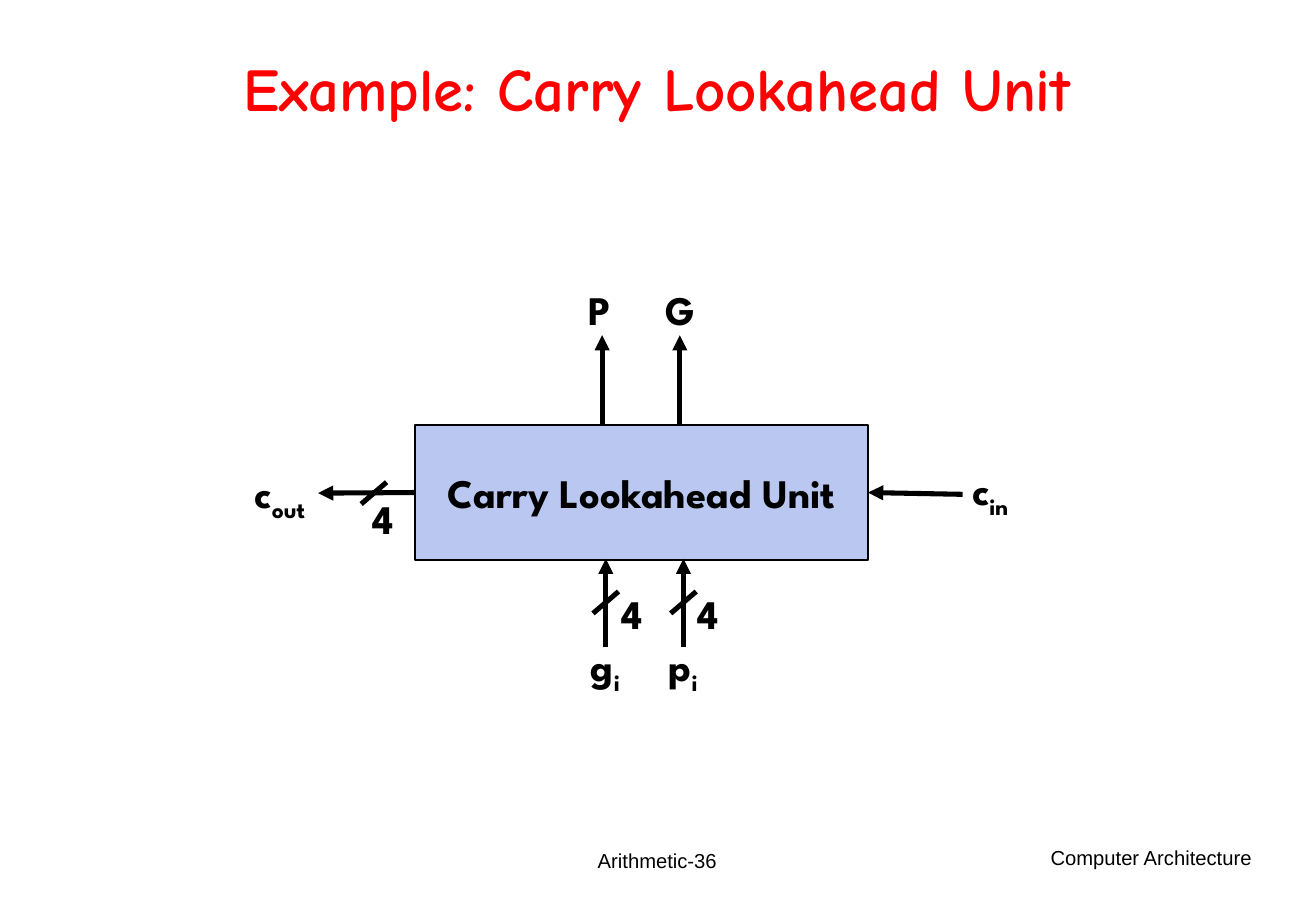
"""Build the carry lookahead unit slide."""
import pptx
import pptx.dml.color
import pptx.enum.shapes
import pptx.enum.text
import pptx.oxml.ns
import pptx.util
from lxml import etree

Inches = pptx.util.Inches
Pt = pptx.util.Pt
Align = pptx.enum.text.PP_ALIGN
Anchor = pptx.enum.text.MSO_ANCHOR
BLACK = pptx.dml.color.RGBColor(0, 0, 0)
RED = pptx.dml.color.RGBColor(255, 0, 0)
PALE_BLUE = pptx.dml.color.RGBColor(0xBA, 0xC8, 0xF1)

TITLE = ("Example: Carry Lookahead Unit", (0.81, 0.27, 9.21, 0.99))
PAGE_LABEL = ("Arithmetic-36", (3.7, 6.83, 3.43, 0.5))
COURSE = ("Computer Architecture", (8.12, 6.91, 2.29, 0.5))
UNIT = ("Carry Lookahead Unit", (3.42, 3.5, 3.73, 1.11))

SIGNALS = [
    ("P", "", (4.75, 2.3, 0.41, 0.5)),
    ("G", "", (5.38, 2.3, 0.44, 0.5)),
    ("g", "i", (4.77, 5.23, 0.47, 0.56)),
    ("p", "i", (5.41, 5.23, 0.47, 0.56)),
    ("c", "in", (7.91, 3.78, 0.55, 0.56)),
    ("c", "out", (2.0, 3.8, 0.7, 0.56)),
    ("4", "", (5.02, 4.8, 0.39, 0.5)),
    ("4", "", (5.65, 4.8, 0.39, 0.5)),
    ("4", "", (2.97, 4.02, 0.39, 0.5)),
]
OUTPUT_COLUMNS = [4.96, 5.6]
INPUT_COLUMNS = [4.99, 5.63]
OUTPUT_SPAN = (3.49, 2.76)
INPUT_SPAN = (5.33, 4.6)
CARRY_IN_START = (7.93, 4.07)
CARRY_OUT_END = (2.62, 4.06)
BUS_MARKS = [(column, 4.96) for column in INPUT_COLUMNS] + [(3.08, 4.06)]
MARK_WIDTH, MARK_HEIGHT = 0.21, 0.18


def add_span(para, text, size, font, color=BLACK, bold=False, subscript=False):
    span = para.add_run()
    span.text = text
    span.font.size = Pt(size)
    span.font.name = font
    span.font.bold = bold
    span.font.color.rgb = color
    if subscript:
        span._r.get_or_add_rPr().set("baseline", "-25000")


def add_box(page, area, align=Align.LEFT, anchor=Anchor.TOP, wrap=True):
    box = page.shapes.add_textbox(*map(Inches, area))
    frame = box.text_frame
    frame.word_wrap = wrap
    frame.vertical_anchor = anchor
    if not wrap:
        frame.auto_size = pptx.enum.text.MSO_AUTO_SIZE.SHAPE_TO_FIT_TEXT
    para = frame.paragraphs[0]
    para.alignment = align
    return para


def add_line(page, start, end, arrow=False):
    line = page.shapes.add_connector(
        pptx.enum.shapes.MSO_CONNECTOR.STRAIGHT, *map(Inches, start + end))
    line.line.color.rgb = BLACK
    line.line.width = Pt(3)
    if arrow:
        etree.SubElement(line.line._get_or_add_ln(),
                         pptx.oxml.ns.qn("a:tailEnd"), type="triangle")
    etree.SubElement(line._element.spPr, pptx.oxml.ns.qn("a:effectLst"))
    return line


def add_unit(page):
    text, area = UNIT
    unit = page.shapes.add_shape(
        pptx.enum.shapes.MSO_SHAPE.RECTANGLE, *map(Inches, area))
    unit.shadow.inherit = False
    unit.fill.solid()
    unit.fill.fore_color.rgb = PALE_BLUE
    unit.line.color.rgb = BLACK
    unit.line.width = Pt(1)
    unit.text_frame.word_wrap = False
    unit.text_frame.vertical_anchor = Anchor.MIDDLE
    para = unit.text_frame.paragraphs[0]
    para.alignment = Align.CENTER
    add_span(para, text, 24, "League Spartan", bold=True)
    return unit


def main():
    deck = pptx.Presentation()
    deck.slide_width, deck.slide_height = Inches(10.84), Inches(7.5)
    page = deck.slides.add_slide(deck.slide_layouts[6])

    para = add_box(page, COURSE[1], Align.RIGHT)
    add_span(para, COURSE[0], 12, "Arial")
    para = add_box(page, PAGE_LABEL[1], Align.CENTER, Anchor.MIDDLE)
    add_span(para, PAGE_LABEL[0], 12, "Arial")
    para = add_box(page, TITLE[1], Align.CENTER, Anchor.MIDDLE)
    para.line_spacing = 0.85
    add_span(para, TITLE[0], 36, "Comic Neue", RED, bold=True)

    unit = add_unit(page)
    for columns, (start, end) in ((OUTPUT_COLUMNS, OUTPUT_SPAN),
                                  (INPUT_COLUMNS, INPUT_SPAN)):
        for column in columns:
            add_line(page, (column, start), (column, end), arrow=True)

    left, top, width, height = UNIT[1]
    middle = top + height / 2
    carry_in = add_line(page, CARRY_IN_START, (left + width, middle), arrow=True)
    carry_in.end_connect(unit, 3)
    carry_out = add_line(page, (left, middle), CARRY_OUT_END, arrow=True)
    carry_out.begin_connect(unit, 1)

    for x, y in BUS_MARKS:
        add_line(page, (x + MARK_WIDTH / 2, y - MARK_HEIGHT / 2),
                 (x - MARK_WIDTH / 2, y + MARK_HEIGHT / 2))

    for name, subscript, area in SIGNALS:
        para = add_box(page, area, wrap=False)
        add_span(para, name, 24, "League Spartan", bold=True)
        if subscript:
            add_span(para, subscript, 24, "League Spartan", bold=True, subscript=True)

    deck.save("out.pptx")


if __name__ == "__main__":
    main()
